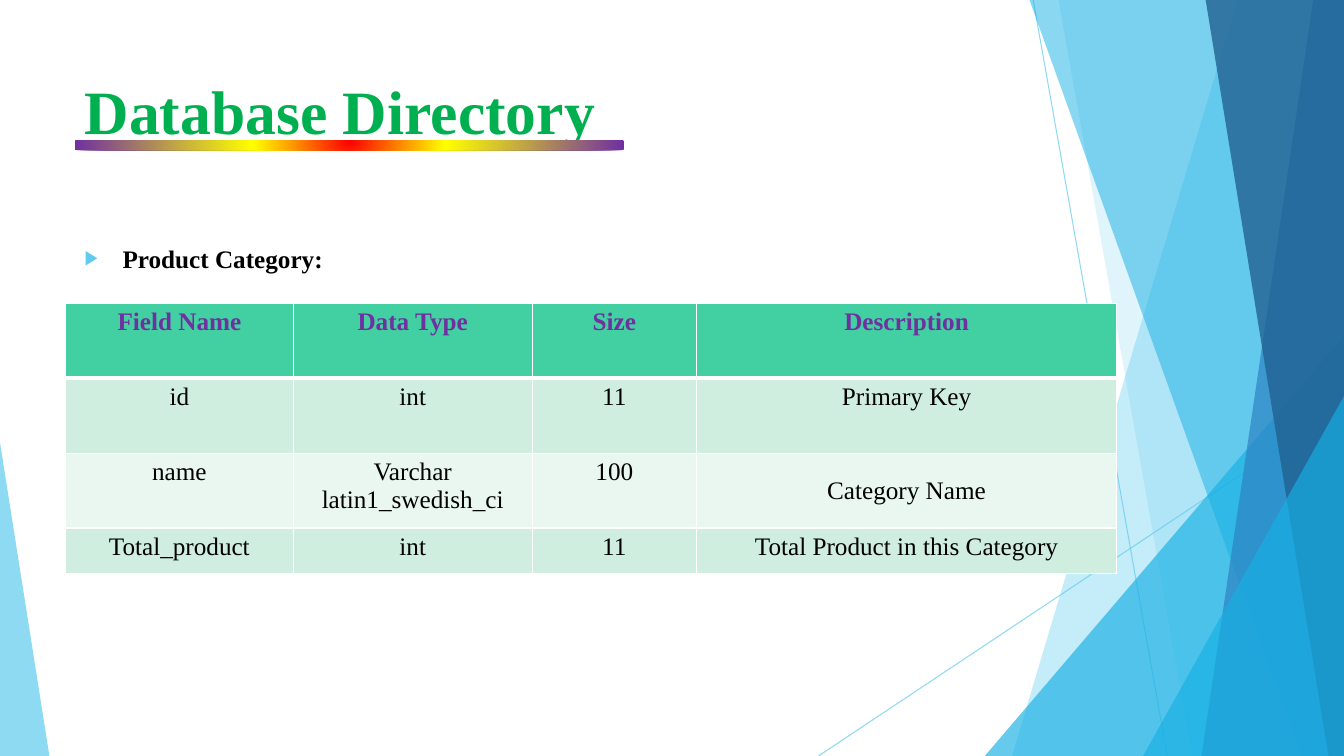
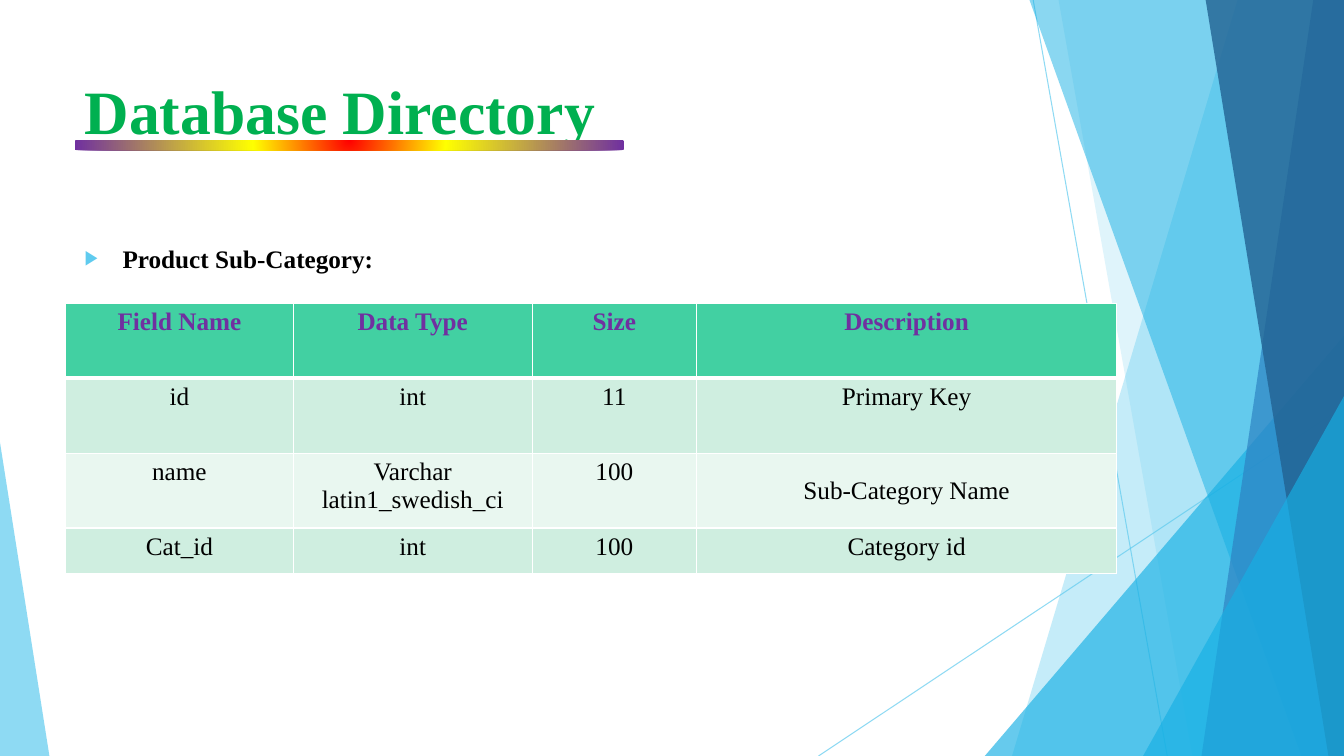
"""Build the two database directory slides: product category and product sub-category."""
from lxml import etree
from pptx import Presentation, oxml, util as u
from pptx.dml import color
from pptx.enum import shapes, text
from pptx.oxml import ns

Pt = u.Pt
WIDTH, HEIGHT = 960, 540
FONT = "Times New Roman"
SKY, CYAN, BLUE, NAVY = "5FCBEF", "17B0E4", "2E83C3", "226292"
GREEN, PURPLE, BLACK, WHITE = "00B050", "7030A0", "000000", "FFFFFF"
ROW_FILLS = ["42D0A2", "CFEEE0", "E9F7F0", "CFEEE0"]
COLUMN_WIDTHS = [162.72, 170.64, 117.36, 300.24]
ROW_HEIGHTS = [53.5, 53.5, 53.5, 32.4]
HEADINGS = ["Field Name", "Data Type", "Size", "Description"]
ID_FIELD = ["id", "int", "11", "Primary Key"]
NAME_FIELD = ["name", "Varchar latin1_swedish_ci", "100"]

DIRECTORY = [
    ("Product Category:", "Category Name",
     ["Total_product", "int", "11", "Total Product in this Category"]),
    ("Product Sub-Category:", "Sub-Category Name",
     ["Cat_id", "int", "100", "Category id"]),
]

FACETS = [
    ("line", (738, 0, 833.76, HEIGHT), SKY, 70),
    ("line", (WIDTH, 290.16, 584.64, HEIGHT), SKY, 70),
    ("band", (884.16, 722.88), SKY, 36),
    ("band", (756, 851.76), SKY, 20),
    ("triangle", (703.44, 239.76, 256.56, 1), CYAN, 66),
    ("band", (735.12, 929.52), CYAN, 50),
    ("band", (938.16, 858.24), BLUE, 70),
    ("band", (861.12, 948.96), NAVY, 80),
    ("triangle", (816.48, 282.96, 143.52, 1), CYAN, 66),
    ("triangle", (0, 316.08, 35.28, 0), SKY, 70),
]


def rgb(code):
    return color.RGBColor.from_string(code)


def write(paragraph, words, size, colour, bold):
    run = paragraph.add_run()
    run.text = words
    run.font.name = FONT
    run.font.size = Pt(size)
    run.font.bold = bold
    run.font.color.rgb = rgb(colour)


prs = Presentation()
prs.slide_width, prs.slide_height = Pt(WIDTH), Pt(HEIGHT)
layout = prs.slide_layouts[1]
places = [(53.28, 48.24, 694.8, 103.68), (53.28, 169.92, 676.8, 305.28)]
for holder, place in zip(layout.placeholders, places):
    holder.left, holder.top, holder.width, holder.height = map(Pt, place)
    holder.text_frame.vertical_anchor = text.MSO_ANCHOR.TOP

slides = [prs.slides.add_slide(layout) for _ in DIRECTORY]

backdrop = slides[0].shapes.add_group_shape()
for kind, geometry, colour, opacity in FACETS:
    if kind == "line":
        facet = backdrop.shapes.add_connector(
            shapes.MSO_CONNECTOR.STRAIGHT, *map(Pt, geometry))
        facet.line.width = Pt(0.75)
        paint = facet.line.fill
    else:
        if kind == "band":
            top_x, bottom_x = geometry
            outline = backdrop.shapes.build_freeform(Pt(top_x), Pt(-0.72))
            outline.add_line_segments(
                [(Pt(WIDTH), Pt(-0.72)), (Pt(WIDTH), Pt(HEIGHT)),
                 (Pt(bottom_x), Pt(HEIGHT))])
            facet = outline.convert_to_shape()
        else:
            left, top, width, apex = geometry
            facet = backdrop.shapes.add_shape(
                shapes.MSO_SHAPE.ISOSCELES_TRIANGLE,
                Pt(left), Pt(top), Pt(width), Pt(HEIGHT - top))
            facet.adjustments[0] = apex
        facet.line.fill.background()
        paint = facet.fill
    paint.solid()
    paint.fore_color.rgb = rgb(colour)
    for tint in facet._element.xpath(".//a:srgbClr"):
        etree.SubElement(tint, ns.qn("a:alpha"), val=str(opacity * 1000))
    etree.SubElement(facet._element.spPr, ns.qn("a:effectLst"))

for number, identity in enumerate(backdrop._element.xpath(".//p:cNvPr"), 20):
    identity.set("id", str(number))
prs.slide_master.shapes._spTree.insert(2, backdrop._element)

for slide, (subject, name_meaning, last_field) in zip(slides, DIRECTORY):
    heading = slide.shapes.title.text_frame.paragraphs[0]
    heading.alignment = text.PP_ALIGN.LEFT
    write(heading, "Database Directory", 44, GREEN, True)

    topic = slide.placeholders[1].text_frame.paragraphs[0]
    topic.space_before = Pt(10)
    write(topic, subject, 18, BLACK, True)
    bullet = topic._p.get_or_add_pPr()
    bullet.set("marL", str(Pt(27)))
    bullet.set("indent", str(Pt(-27)))
    bullet_colour = etree.SubElement(bullet, ns.qn("a:buClr"))
    etree.SubElement(bullet_colour, ns.qn("a:srgbClr"), val=SKY)
    etree.SubElement(bullet, ns.qn("a:buSzPct"), val="80000")
    etree.SubElement(bullet, ns.qn("a:buChar"), char="▶")

    underline = slide.shapes.add_shape(
        shapes.MSO_SHAPE.ROUNDED_RECTANGLE, Pt(53.28), Pt(100.08), Pt(392.4), Pt(7.2))
    underline.shadow.inherit = False
    underline.line.fill.background()
    underline.fill.background()
    stops = "".join(
        f'<a:gs pos="{position * 1000}"><a:srgbClr val="{colour}"/></a:gs>'
        for position, colour in [(0, "FF0000"), (35, "FFFF00"), (100, PURPLE)])
    rainbow = oxml.parse_xml(
        f'<a:gradFill {ns.nsdecls("a")}><a:gsLst>{stops}</a:gsLst><a:path path="circle">'
        '<a:fillToRect l="50000" t="-80000" r="50000" b="180000"/></a:path></a:gradFill>')
    properties = underline._element.spPr
    properties.replace(properties.find(ns.qn("a:noFill")), rainbow)

    records = [HEADINGS, ID_FIELD, NAME_FIELD + [name_meaning], last_field]
    fields = slide.shapes.add_table(
        len(records), len(HEADINGS), Pt(46.8), Pt(216.72),
        Pt(sum(COLUMN_WIDTHS)), Pt(sum(ROW_HEIGHTS))).table
    for column, width in zip(fields.columns, COLUMN_WIDTHS):
        column.width = Pt(width)
    for r, record in enumerate(records):
        fields.rows[r].height = Pt(ROW_HEIGHTS[r])
        for c, words in enumerate(record):
            cell = fields.cell(r, c)
            for side in "LRTB":
                thick = (r, side) in [(0, "B"), (1, "T")]
                border = etree.SubElement(
                    cell._tc.get_or_add_tcPr(), ns.qn(f"a:ln{side}"),
                    w=str(Pt(3 if thick else 1)))
                ink = etree.SubElement(border, ns.qn("a:solidFill"))
                etree.SubElement(ink, ns.qn("a:srgbClr"), val=WHITE)
            cell.fill.solid()
            cell.fill.fore_color.rgb = rgb(ROW_FILLS[r])
            entry = cell.text_frame.paragraphs[0]
            entry.alignment = text.PP_ALIGN.CENTER
            write(entry, words, 18, BLACK if r else PURPLE, r == 0)
    fields.cell(2, 3).vertical_anchor = text.MSO_ANCHOR.MIDDLE

prs.save("out.pptx")
